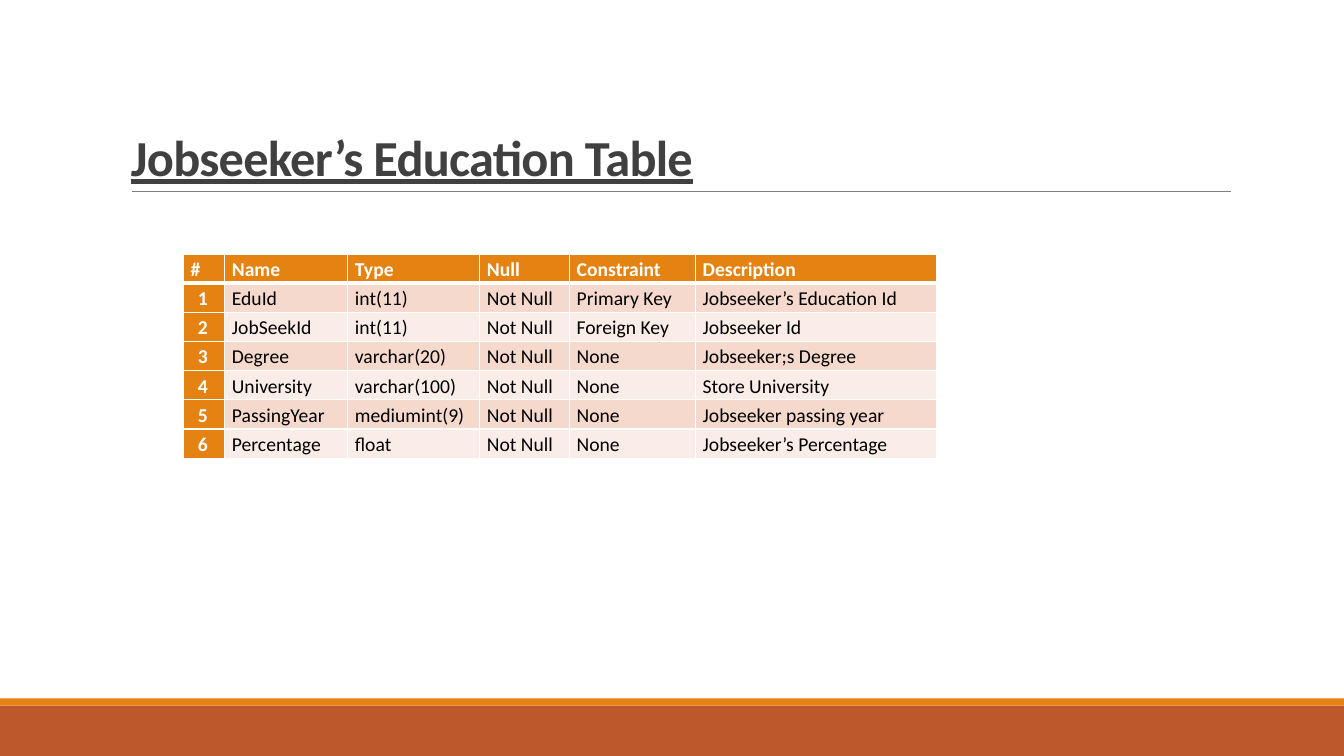
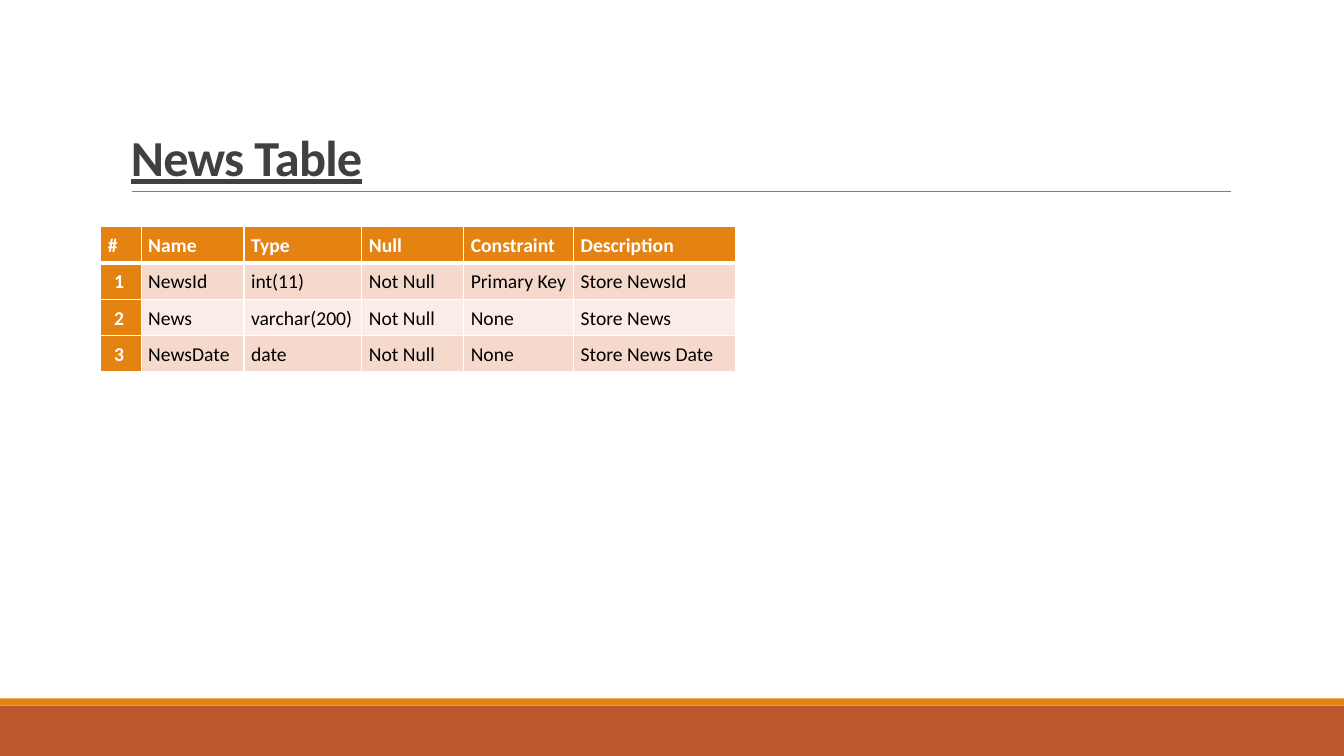
from pptx import Presentation
from pptx.dml.color import RGBColor
from pptx.enum.shapes import MSO_CONNECTOR, MSO_SHAPE
from pptx.enum.text import MSO_ANCHOR, PP_ALIGN
from pptx.oxml.ns import qn
from pptx.util import Inches, Pt
from lxml import etree

RECTANGLE = MSO_SHAPE.RECTANGLE
STRAIGHT = MSO_CONNECTOR.STRAIGHT
BOTTOM, MIDDLE = MSO_ANCHOR.BOTTOM, MSO_ANCHOR.MIDDLE
LEFT, RIGHT = PP_ALIGN.LEFT, PP_ALIGN.RIGHT

WHITE = RGBColor(0xFF, 0xFF, 0xFF)
BLACK = RGBColor(0x00, 0x00, 0x00)
DARK_GRAY = RGBColor(0x40, 0x40, 0x40)
RULE_GRAY = RGBColor(0x80, 0x80, 0x80)
RUST = RGBColor(0xBD, 0x58, 0x2C)
ORANGE = RGBColor(0xE4, 0x83, 0x12)
BANDS = (RGBColor(0xF5, 0xD9, 0xCC), RGBColor(0xFA, 0xED, 0xE7))

FONT = "Calibri"
SLIDE_WIDTH, SLIDE_HEIGHT = 13.33, 7.5
THIN, THICK = 1, 3
HEADER = ("#", "Name", "Type", "Null", "Constraint", "Description")

EDUCATION_FIELDS = [
    ("EduId", "int(11)", "Not Null", "Primary Key", "Jobseeker’s Education Id"),
    ("JobSeekId", "int(11)", "Not Null", "Foreign Key", "Jobseeker Id"),
    ("Degree", "varchar(20)", "Not Null", "None", "Jobseeker;s Degree"),
    ("University", "varchar(100)", "Not Null", "None", "Store University"),
    ("PassingYear", "mediumint(9)", "Not Null", "None", "Jobseeker passing year"),
    ("Percentage", "float", "Not Null", "None", "Jobseeker’s Percentage"),
]
NEWS_FIELDS = [
    ("NewsId", "int(11)", "Not Null", "Primary Key", "Store NewsId"),
    ("News", "varchar(200)", "Not Null", "None", "Store News"),
    ("NewsDate", "date", "Not Null", "None", "Store News Date"),
]


def set_borders(cell, top, bottom):
    """Give a cell white borders; top and bottom are widths in points."""
    properties = cell._tc.get_or_add_tcPr()
    for side, width in (("L", THIN), ("R", THIN), ("T", top), ("B", bottom)):
        line = etree.SubElement(properties, qn(f"a:ln{side}"), w=str(Pt(width)))
        fill = etree.SubElement(line, qn("a:solidFill"))
        etree.SubElement(fill, qn("a:srgbClr"), val=str(WHITE))


class SchemaDeck:
    def __init__(self):
        self.deck = Presentation()
        self.deck.slide_width = Inches(SLIDE_WIDTH)
        self.deck.slide_height = Inches(SLIDE_HEIGHT)
        self.slide = None

    def add_page(self, title):
        self.slide = self.deck.slides.add_slide(self.deck.slide_layouts[6])
        self.add_band(7, 0.5, RUST)
        self.add_band(6.93, 0.07, ORANGE)
        self.add_rule(1.31, 12.21, 1.9)
        self.add_title(title)

    def add_band(self, top, height, color):
        band = self.slide.shapes.add_shape(
            RECTANGLE, 0, Inches(top), Inches(SLIDE_WIDTH), Inches(height))
        band.shadow.inherit = False
        band.fill.solid()
        band.fill.fore_color.rgb = color
        band.line.fill.background()

    def add_rule(self, left, right, top):
        rule = self.slide.shapes.add_connector(
            STRAIGHT, Inches(left), Inches(top), Inches(right), Inches(top))
        rule.line.color.rgb = RULE_GRAY
        rule.line.width = Pt(0.5)
        etree.SubElement(rule._element.spPr, qn("a:effectLst"))

    def add_title(self, text):
        box = self.slide.shapes.add_textbox(
            Inches(1.2), Inches(0.31), Inches(11), Inches(1.59))
        frame = box.text_frame
        frame.word_wrap = True
        frame.vertical_anchor = BOTTOM
        frame.text = text
        para = frame.paragraphs[0]
        para.line_spacing = 0.85
        span = para.runs[0]
        self.style_span(span, 36, DARK_GRAY, bold=True)
        span.font.underline = True
        span._r.get_or_add_rPr().set("spc", "-50")

    def style_span(self, span, size, color, bold):
        font = span.font
        font.name, font.size, font.bold = FONT, Pt(size), bold
        font.color.rgb = color

    def add_field_table(self, left, top, row_height, widths, fields):
        """Add a table of database fields, numbered from 1."""
        rows = [HEADER] + [(str(number), *field)
                           for number, field in enumerate(fields, 1)]
        table = self.slide.shapes.add_table(
            len(rows), len(widths), Inches(left), Inches(top),
            Inches(sum(widths)), Inches(row_height * len(rows))).table
        table.horz_banding = False
        for column, width in zip(table.columns, widths):
            column.width = Inches(width)
        for row_index, row in enumerate(rows):
            for column_index, text in enumerate(row):
                self.fill_cell(table.cell(row_index, column_index), text,
                               row_index, column_index)

    def fill_cell(self, cell, text, row, column):
        is_header = row == 0
        is_number = column == 0 and not is_header
        accented = is_header or is_number
        set_borders(cell, THICK if row == 1 else THIN, THICK if is_header else THIN)
        cell.fill.solid()
        cell.fill.fore_color.rgb = ORANGE if accented else BANDS[(row - 1) % 2]
        cell.vertical_anchor = MIDDLE
        cell.margin_left = Inches(0.05)
        cell.margin_right = Inches(0.17 if is_number else 0.05)
        cell.margin_top = cell.margin_bottom = Inches(0.02)
        cell.text_frame.text = text
        para = cell.text_frame.paragraphs[0]
        para.alignment = RIGHT if is_number else LEFT
        para.line_spacing = 1.07
        para.space_after = Pt(1.2)
        para._p.get_or_add_pPr().set("marL", str(Inches(0.02)))
        self.style_span(para.runs[0], 14, WHITE if accented else BLACK, accented)


def main():
    schema = SchemaDeck()
    schema.add_page("Jobseeker’s Education Table")
    schema.add_field_table(1.82, 2.52, 2.01 / 7,
                           (0.41, 1.22, 1.31, 0.89, 1.25, 2.39), EDUCATION_FIELDS)
    schema.add_page("News Table")
    schema.add_field_table(1, 2.25, 0.36,
                           (0.4, 1.02, 1.17, 1.01, 1.09, 1.61), NEWS_FIELDS)
    schema.deck.save("out.pptx")


if __name__ == "__main__":
    main()
